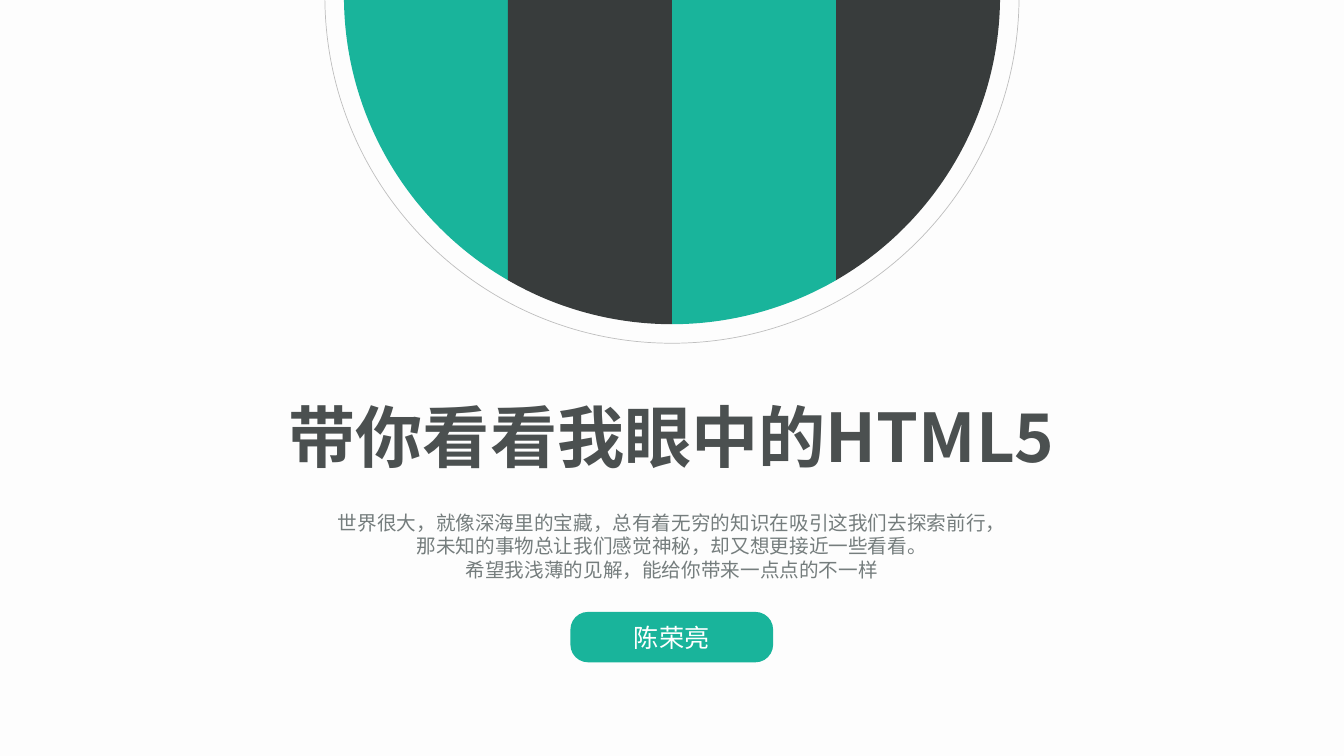
import math

from pptx import Presentation
from pptx.dml.color import RGBColor
from pptx.enum.shapes import MSO_SHAPE
from pptx.enum.text import MSO_ANCHOR, MSO_AUTO_SIZE, PP_ALIGN
from pptx.oxml import parse_xml
from pptx.oxml.ns import nsdecls, qn
from pptx.util import Cm, Pt

ROUNDED = MSO_SHAPE.ROUNDED_RECTANGLE
TOP, MIDDLE = MSO_ANCHOR.TOP, MSO_ANCHOR.MIDDLE
GROW = MSO_AUTO_SIZE.SHAPE_TO_FIT_TEXT
CENTER = PP_ALIGN.CENTER

BACKGROUND = RGBColor(0xFD, 0xFD, 0xFD)
GREEN = RGBColor(0x19, 0xB4, 0x9B)
DARK = RGBColor(0x38, 0x3C, 0x3C)
RING_GREY = RGBColor(0xBF, 0xBF, 0xBF)
TITLE_GREY = RGBColor(0x4B, 0x50, 0x50)
TEXT_GREY = RGBColor(0x75, 0x7D, 0x7D)
WHITE = RGBColor(0xFF, 0xFF, 0xFF)

CENTER_X, CENTER_Y = 16.94, -0.1
DISC_RADIUS, RING_RADIUS = 8.27, 8.75

INTRO = [
    "世界很大，就像深海里的宝藏，总有着无穷的知识在吸引这我们去探索前行，",
    "那未知的事物总让我们感觉神秘，却又想更接近一些看看。",
    "希望我浅薄的见解，能给你带来一点点的不一样",
]


def format_run(r, font, size, color, bold=False):
    r.font.name = font
    r.font.size = Pt(size)
    r.font.color.rgb = color
    r.font.bold = bold


def arc_points(radius, x0, x1):
    """Start, two Bézier controls and end of the lower arc from x0 to x1."""
    a, b = math.acos(x0 / radius), math.acos(x1 / radius)
    k = 4 / 3 * math.tan((b - a) / 4)
    ca, sa, cb, sb = math.cos(a), math.sin(a), math.cos(b), math.sin(b)
    units = [(ca, sa), (ca - k * sa, sa + k * ca), (cb + k * sb, sb - k * cb), (cb, sb)]
    return [(radius * x, radius * y) for x, y in units]


def add_curved_shape(shapes, points, curves, close):
    """Outline whose first segments are curves of three points each."""
    points = [(Cm(CENTER_X + x), Cm(CENTER_Y + y)) for x, y in points]
    builder = shapes.build_freeform(*points[0], scale=1.0)
    builder.add_line_segments(points[1:], close=close)
    sp = builder.convert_to_shape()
    sp.shadow.inherit = False
    lines = list(sp._element.iter(qn("a:lnTo")))
    for i in range(0, 3 * curves, 3):
        curve = parse_xml(f"<a:cubicBezTo {nsdecls('a')}/>")
        lines[i].addprevious(curve)
        for line in lines[i:i + 3]:
            curve.append(line[0])
            line.getparent().remove(line)
    return sp


def add_striped_disc(s):
    shapes = s.shapes.add_group_shape().shapes
    width = DISC_RADIUS / 2
    for i, color in enumerate([GREEN, DARK, GREEN, DARK]):
        x0 = -DISC_RADIUS + i * width
        x1 = x0 + width
        points = arc_points(DISC_RADIUS, x0, x1) + [(x1, 0), (x0, 0)]
        sp = add_curved_shape(shapes, points, 1, True)
        sp.fill.solid()
        sp.fill.fore_color.rgb = color
        sp.line.fill.background()

    points = arc_points(RING_RADIUS, -RING_RADIUS, 0)
    points += arc_points(RING_RADIUS, 0, RING_RADIUS)[1:]
    ring = add_curved_shape(shapes, points, 2, True)
    ring.fill.background()
    ring.line.color.rgb = RING_GREY
    ring.line.width = Pt(0.5)


def set_title(s):
    sp = s.shapes.title
    sp.left, sp.top, sp.width, sp.height = Cm(6.81), Cm(9.83), Cm(20.24), Cm(2.29)
    tf = sp.text_frame
    tf.text = "带你看看我眼中的"
    tf.word_wrap = False
    tf.auto_size = GROW
    tf.vertical_anchor = TOP
    p = tf.paragraphs[0]
    p.alignment = CENTER
    p.add_run().text = "HTML5"
    for r, font in zip(p.runs, ["Arial Narrow", "Noto Sans CJK SC"]):
        format_run(r, font, 48, TITLE_GREY, bold=True)


def add_intro(s):
    tf = s.shapes.add_textbox(Cm(5.13), Cm(12.14), Cm(23.62), Cm(2.64)).text_frame
    tf.word_wrap = True
    tf.margin_top = Cm(0.73)
    tf.text = "\n".join(INTRO)
    for p in tf.paragraphs:
        p.alignment = CENTER
        format_run(p.runs[0], "Arial", 14, TEXT_GREY)


def add_author_button(s):
    sp = s.shapes.add_shape(ROUNDED, Cm(14.38), Cm(15.42), Cm(5.11), Cm(1.27))
    sp.adjustments[0] = 0.35
    sp.shadow.inherit = False
    sp.fill.solid()
    sp.fill.fore_color.rgb = GREEN
    sp.line.fill.background()
    tf = sp.text_frame
    tf.text = "陈荣亮"
    tf.vertical_anchor = MIDDLE
    p = tf.paragraphs[0]
    p.alignment = CENTER
    format_run(p.runs[0], "Calibri", 18, WHITE)


def main():
    prs = Presentation()
    prs.slide_width, prs.slide_height = Cm(33.88), Cm(19.05)
    s = prs.slides.add_slide(prs.slide_layouts[5])
    s.background.fill.solid()
    s.background.fill.fore_color.rgb = BACKGROUND
    add_author_button(s)
    set_title(s)
    add_intro(s)
    add_striped_disc(s)
    prs.save("out.pptx")


if __name__ == "__main__":
    main()
